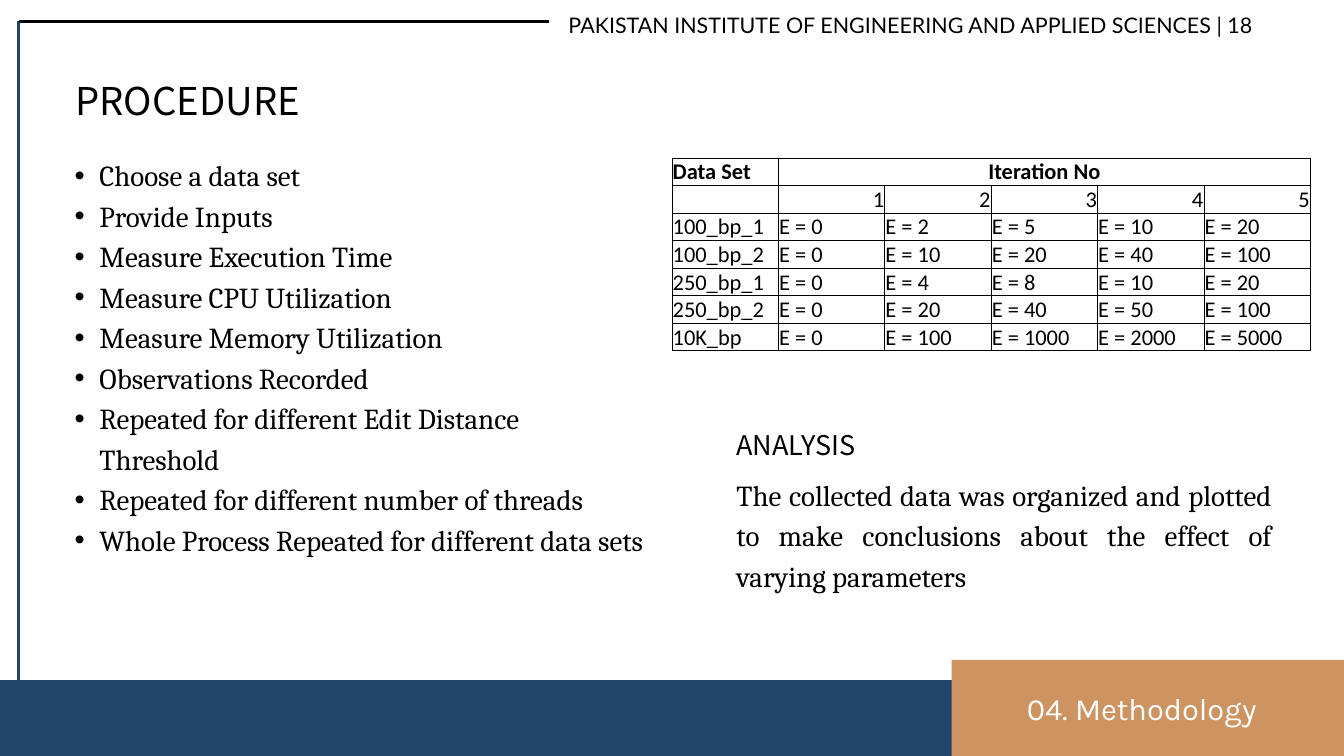
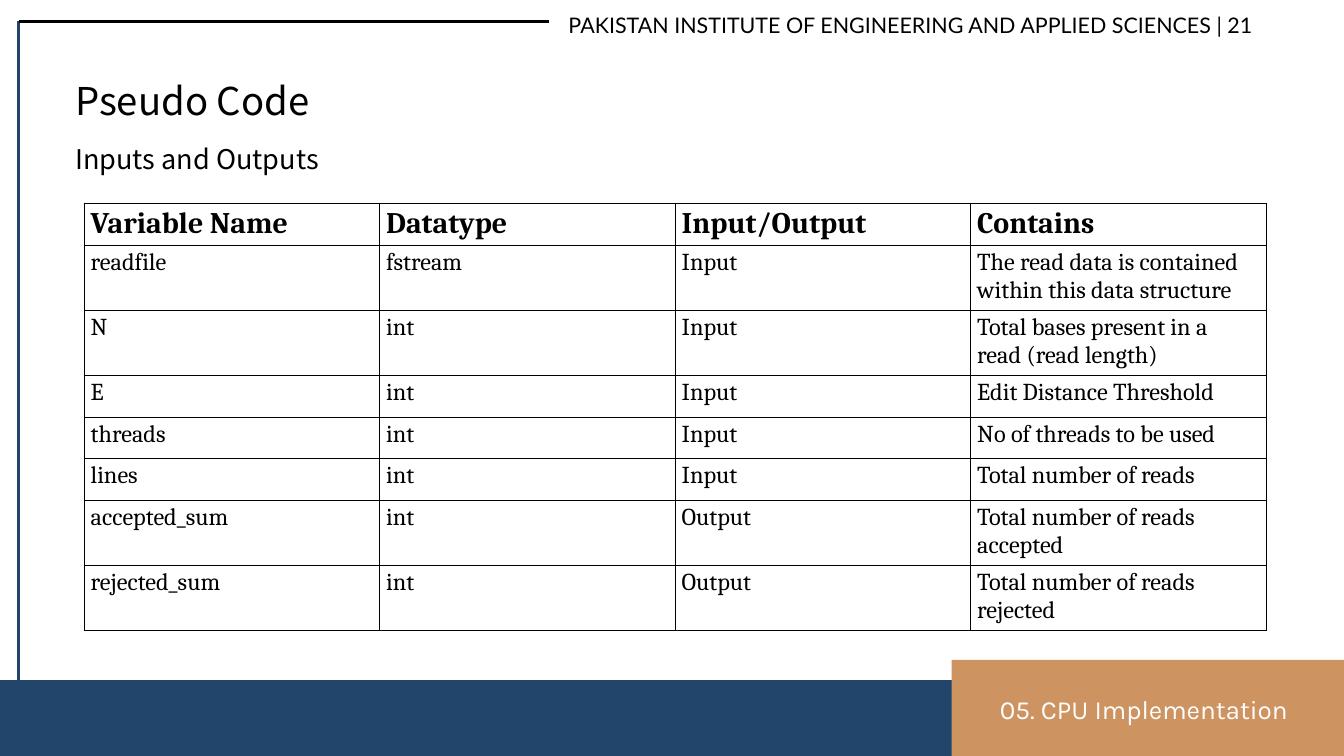
from lxml import etree
from pptx import Presentation
from pptx.dml.color import RGBColor
from pptx.enum.shapes import MSO_CONNECTOR, MSO_SHAPE
from pptx.enum.text import MSO_ANCHOR, MSO_AUTO_SIZE, PP_ALIGN
from pptx.oxml.ns import qn
from pptx.util import Inches, Pt

NAVY = RGBColor(0x22, 0x46, 0x6B)
TAN = RGBColor(0xCD, 0x94, 0x61)
BLACK = RGBColor(0x00, 0x00, 0x00)
WHITE = RGBColor(0xFF, 0xFF, 0xFF)

RECTANGLE = MSO_SHAPE.RECTANGLE
STRAIGHT = MSO_CONNECTOR.STRAIGHT
TOP, BOTTOM = MSO_ANCHOR.TOP, MSO_ANCHOR.BOTTOM
GROW = MSO_AUTO_SIZE.SHAPE_TO_FIT_TEXT
LEFT, CENTER = PP_ALIGN.LEFT, PP_ALIGN.CENTER
RIGHT, JUSTIFY = PP_ALIGN.RIGHT, PP_ALIGN.JUSTIFY

TITLE_ONLY, TITLE_AND_BODY = 5, 1
INSTITUTE = "PAKISTAN INSTITUTE OF ENGINEERING AND APPLIED SCIENCES"


def font_style(name, size, color=BLACK, bold=False):
    return {"name": name, "size": Pt(size), "bold": bold, "color": color}


def paragraph_style(align, spacing):
    return {"alignment": align, "line_spacing": Pt(spacing),
            "space_before": Pt(0), "space_after": Pt(0)}


HEADER = font_style("Lato", 23), paragraph_style(JUSTIFY, 32.2)
TITLE = font_style("Noto Sans CJK SC", 41), paragraph_style(JUSTIFY, 57.4)
SUBTITLE = font_style("Noto Sans CJK SC", 29), paragraph_style(JUSTIFY, 40.6)
BODY = font_style("Cambria", 31), paragraph_style(JUSTIFY, 43.4)
BULLETS = font_style("Cambria", 31), paragraph_style(LEFT, 43.4)

STEPS = [
    "Choose a data set",
    "Provide Inputs",
    "Measure Execution Time",
    "Measure CPU Utilization",
    "Measure Memory Utilization",
    "Observations Recorded",
    "Repeated for different Edit Distance Threshold",
    "Repeated for different number of threads",
    "Whole Process Repeated for different data sets",
]
THRESHOLDS = {
    "100_bp_1": [0, 2, 5, 10, 20],
    "100_bp_2": [0, 10, 20, 40, 100],
    "250_bp_1": [0, 4, 8, 10, 20],
    "250_bp_2": [0, 20, 40, 50, 100],
    "10K_bp": [0, 100, 1000, 2000, 5000],
}
VARIABLES = [
    ["Variable Name", "Datatype", "Input/Output", "Contains"],
    ["readfile", "fstream", "Input", "The read data is contained\nwithin this data structure"],
    ["N", "int", "Input", "Total bases present in a\nread (read length)"],
    ["E", "int", "Input", "Edit Distance Threshold"],
    ["threads", "int", "Input", "No of threads to be used"],
    ["lines", "int", "Input", "Total number of reads"],
    ["accepted_sum", "int", "Output", "Total number of reads accepted"],
    ["rejected_sum", "int", "Output", "Total number of reads rejected"],
]


# Helpers for text, lines and tables
def set_all(target, values):
    for name, value in values.items():
        setattr(target, name, value)


def format_spans(para, font):
    for span in para.runs:
        set_all(span.font, {key: font[key] for key in ("name", "size", "bold")})
        span.font.color.rgb = font["color"]


def add_bullet(para, indent=0.73, hanging=0.37):
    properties = para._p.get_or_add_pPr()
    properties.set("marL", str(Inches(indent)))
    properties.set("indent", str(-Inches(hanging)))
    etree.SubElement(properties, qn("a:buFont"), typeface="Arial")
    etree.SubElement(properties, qn("a:buChar"), char="•")


def fill_text(shape, box, lines, style, bulleted=False):
    font, paragraph = style
    set_all(shape, dict(zip(("left", "top", "width", "height"), map(Inches, box))))
    frame = shape.text_frame
    set_all(frame, {"margin_left": 0, "margin_top": 0, "margin_right": 0,
                    "margin_bottom": 0, "word_wrap": True,
                    "vertical_anchor": TOP, "auto_size": GROW})
    for index, line in enumerate(lines):
        para = frame.add_paragraph() if index else frame.paragraphs[0]
        para.text = line
        if bulleted:
            add_bullet(para)
        set_all(para, paragraph)
        format_spans(para, font)


def add_text(page, box, line, style):
    shape = page.shapes.add_textbox(*map(Inches, box))
    fill_text(shape, box, [line], style)


def add_block(page, box, color):
    block = page.shapes.add_shape(RECTANGLE, *map(Inches, box))
    block.shadow.inherit = False
    block.fill.solid()
    block.fill.fore_color.rgb = color
    block.line.fill.background()


def add_rule(page, ends, color):
    rule = page.shapes.add_connector(STRAIGHT, *map(Inches, ends))
    rule.line.color.rgb = color
    rule.line.width = Pt(3)
    etree.SubElement(rule._element.spPr, qn("a:effectLst"))


def add_borders(cell):
    properties = cell._tc.get_or_add_tcPr()
    for index, side in enumerate(("lnL", "lnR", "lnT", "lnB")):
        border = etree.Element(qn("a:" + side), w=str(Pt(1)))
        fill = etree.SubElement(border, qn("a:solidFill"))
        etree.SubElement(fill, qn("a:srgbClr"), val=str(BLACK))
        properties.insert(index, border)


def add_grid(page, box, rows):
    left, top, width, row_height = box
    height = row_height * len(rows)
    table = page.shapes.add_table(len(rows), len(rows[0]),
                                  *map(Inches, (left, top, width, height))).table
    set_all(table, {"first_row": False, "horz_banding": False})
    for row_index, row in enumerate(rows):
        for column_index, words in enumerate(row):
            cell = table.cell(row_index, column_index)
            cell.fill.background()
            add_borders(cell)
            cell.text_frame.paragraphs[0].text = words
    return table


# Parts shared by both slides
def add_page(deck, layout, title, number, section, section_box, section_size):
    page = deck.slides.add_slide(deck.slide_layouts[layout])
    add_block(page, (-0.53, 10.12, 16, 1.13), NAVY)
    add_block(page, (14.16, 9.82, 7.25, 1.43), TAN)
    add_rule(page, (0.27, 0.32, 0.27, 10.69), NAVY)
    add_rule(page, (8.17, 0.32, 0.28, 0.32), BLACK)
    add_text(page, (8.46, 0.12, 11.47, 0.43), f"{INSTITUTE} | {number}", HEADER)
    fill_text(page.shapes.title, (1.12, 1.04, 17.75, 0.76), [title], TITLE)
    section_style = font_style("Karla", section_size, WHITE), paragraph_style(LEFT, 28.7)
    add_text(page, section_box, section, section_style)
    return page


# Table of edit distance thresholds per iteration
def add_threshold_table(page, box):
    rows = [["Data Set", "Iteration No", "", "", "", ""],
            [""] + [str(number) for number in range(1, 6)]]
    rows += [[name] + [f"E = {value}" for value in values]
             for name, values in THRESHOLDS.items()]
    table = add_grid(page, box, rows)
    table.cell(0, 1).merge(table.cell(0, 5))
    for row_index, row in enumerate(table.rows):
        for column_index, cell in enumerate(row.cells):
            margin = Inches(0.01)
            set_all(cell, {"margin_left": margin, "margin_right": margin,
                           "margin_top": margin, "margin_bottom": 0,
                           "vertical_anchor": BOTTOM})
            para = cell.text_frame.paragraphs[0]
            if column_index and row_index < 2:
                para.alignment = RIGHT if row_index else CENTER
            format_spans(para, font_style("Calibri", 24, bold=row_index == 0))


# Table of program variables
def add_variable_table(page, box):
    table = add_grid(page, box, VARIABLES)
    for index, row in enumerate(table.rows):
        font = font_style("Cambria", 26) if index else font_style("Cambria", 32, bold=True)
        for cell in row.cells:
            format_spans(cell.text_frame.paragraphs[0], font)


# Heading with a paragraph below it
def add_analysis(page, box):
    left, top, width, height = box
    add_text(page, (left, top, width / 2, 0.53), "ANALYSIS", SUBTITLE)
    add_text(page, (left, top + 0.73, width, height - 0.73),
             "The collected data was organized and plotted to make conclusions "
             "about the effect of varying parameters", BODY)


def add_procedure_page(deck):
    page = add_page(deck, TITLE_AND_BODY, "PROCEDURE", 18,
                    "04. Methodology", (15.28, 10.41, 4.73, 0.42), 33)
    fill_text(page.placeholders[1], (0.75, 2.26, 8.83, 5.99), STEPS, BULLETS, bulleted=True)
    add_analysis(page, (10.96, 6.29, 7.96, 2.49))
    add_threshold_table(page, (10, 2.35, 9.5, 0.41))


def add_pseudo_code_page(deck):
    page = add_page(deck, TITLE_ONLY, "Pseudo Code", 21,
                    "05. CPU Implementation", (14.88, 10.38, 5.04, 0.41), 28)
    add_text(page, (1.12, 2.04, 17.75, 0.53), "Inputs and Outputs", SUBTITLE)
    add_variable_table(page, (1.25, 3.02, 17.59, 0.62))


def main():
    deck = Presentation()
    deck.slide_width, deck.slide_height = Inches(20), Inches(11.25)
    add_procedure_page(deck)
    add_pseudo_code_page(deck)
    deck.save("out.pptx")


if __name__ == "__main__":
    main()
